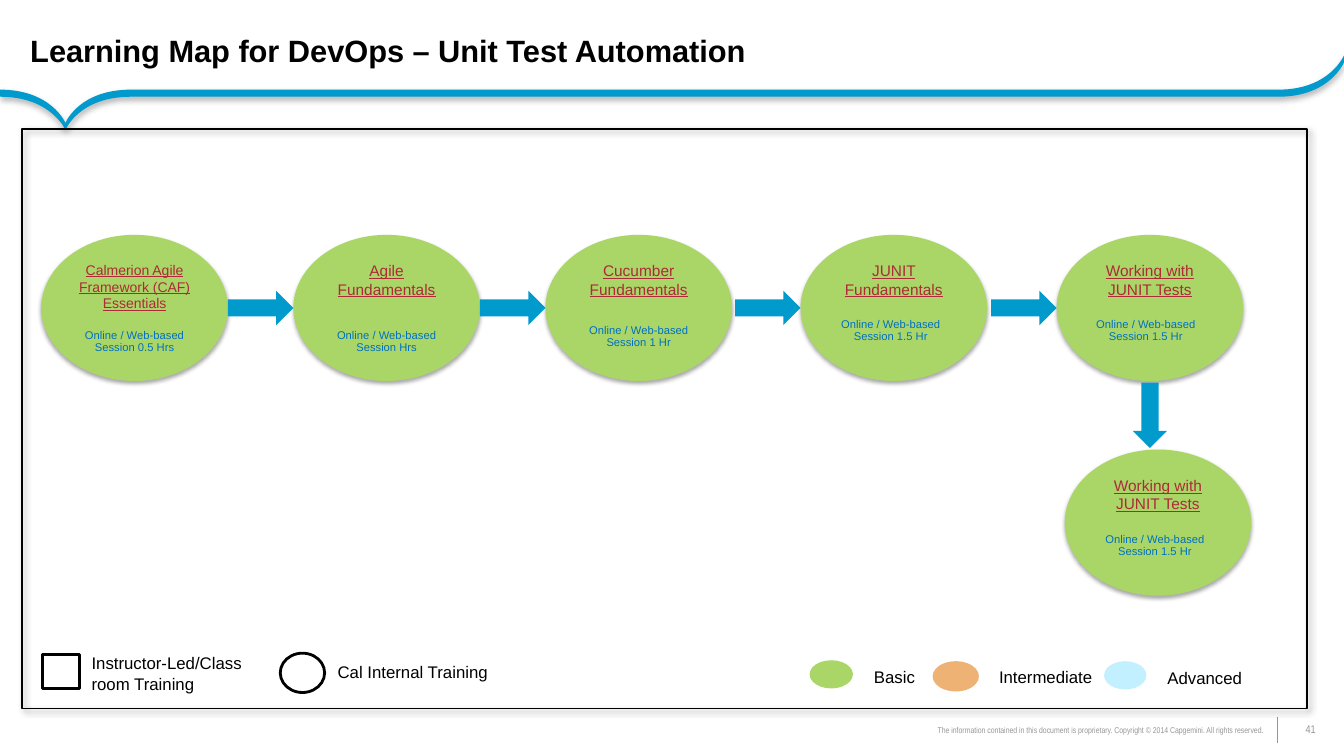
import pptx
import pptx.util
import pptx.oxml
import pptx.dml.color
import pptx.enum.shapes
import pptx.enum.text

Inches, Pt = pptx.util.Inches, pptx.util.Pt
SHAPE = pptx.enum.shapes.MSO_SHAPE
ALIGN = pptx.enum.text.PP_ALIGN
ANCHOR = pptx.enum.text.MSO_ANCHOR

# Content
TITLE = "Learning Map for DevOps – Unit Test Automation"
FOOTER = ("The information contained in this document\u00a0is proprietary. "
          "Copyright © 2014 Capgemini. All rights reserved.")
PAGE = "41"
SESSION = "Online / Web-based Session "

# Course, size, duration, column, row, offset of the session label in the oval
COURSES = [
    ("Calmerion Agile Framework (CAF) Essentials", 10, "0.5 Hrs", 0, 0, (0.27, 0.94)),
    ("Agile Fundamentals", 11, "Hrs", 1, 0, (0.27, 0.94)),
    ("Cucumber Fundamentals", 11, "1 Hr", 2, 0, (0.27, 0.89)),
    ("JUNIT Fundamentals", 11, "1.5 Hr", 3, 0, (0.24, 0.83)),
    ("Working with JUNIT Tests", 11, "1.5 Hr", 4, 0, (0.23, 0.83)),
    ("Working with JUNIT Tests", 11, "1.5 Hr", 5, 1, (0.24, 0.83)),
]
# Legend: shape, its box, fill, outline, text, text box
LEGEND = [
    (SHAPE.RECTANGLE, (0.42, 6.49, 0.37, 0.34), "white", "black",
     "Instructor-Led/Class room Training", (0.81, 6.43, 1.89, 0.5)),
    (SHAPE.OVAL, (2.78, 6.48, 0.44, 0.39), "white", "black",
     "Cal Internal Training", (3.25, 6.52, 1.92, 0.3)),
    (SHAPE.OVAL, (8.03, 6.55, 0.43, 0.28), "green", None, "Basic", (8.57, 6.57, 0.84, 0.3)),
    (SHAPE.OVAL, (9.25, 6.56, 0.46, 0.3), "orange", None, "Intermediate", (9.81, 6.57, 1.22, 0.3)),
    (SHAPE.OVAL, (10.95, 6.56, 0.42, 0.28), "sky", None, "Advanced", (11.48, 6.58, 1.22, 0.3)),
]
COLORS = {"black": "000000", "white": "FFFFFF", "grey": "969696", "blue": "009ACC",
          "green": "AAD668", "orange": "EFB275", "sky": "C2F0FF",
          "red": "AC2B37", "link": "0070C0"}

# Grid
WIDTH, HEIGHT = 13.33, 7.5
COLUMNS = [0.41, 2.91, 5.41, 7.94, 10.48, 10.56]
ROWS = [2.33, 4.46]
OVAL_W, OVAL_H = 1.85, 1.45
ARROW_W, ARROW_H = 0.65, 0.34
LABEL_W, LABEL_H = 1.31, 0.25
BAND = 0.07
# Upper edge of the band: a start, then three points for each curve
EDGE_Y, TIP, CORNER = 0.89, (0.65, 1.22), (WIDTH, 0.55)
UPPER_EDGE = [(0, EDGE_Y),
              (0.51, EDGE_Y), TIP, TIP,
              TIP, (0.78, EDGE_Y), (1.3, EDGE_Y),
              (1.3, EDGE_Y), (12.68, EDGE_Y), (12.68, EDGE_Y),
              (13.19, EDGE_Y), CORNER, CORNER]

presentation = pptx.Presentation()
presentation.slide_width, presentation.slide_height = Inches(WIDTH), Inches(HEIGHT)
slide = presentation.slides.add_slide(presentation.slide_layouts[5])


def color(name):
    return pptx.dml.color.RGBColor.from_string(COLORS[name])


def set_effects(shape, shadow=None):
    """Give a shape a shadow of (opacity, blur, distance, angle), or none."""
    shape_properties = shape._element.spPr
    inner = ""
    if shadow:
        opacity, blur, distance, angle = shadow
        inner = (f'<a:outerShdw blurRad="{Pt(blur)}" dist="{Pt(distance)}" '
                 f'dir="{angle * 60000}" algn="ctr" rotWithShape="0"><a:srgbClr '
                 f'val="{COLORS["black"]}"><a:alpha val="{opacity * 1000}"/>'
                 '</a:srgbClr></a:outerShdw>')
    shape_properties.append(pptx.oxml.parse_xml(
        f'<a:effectLst {pptx.oxml.ns.nsdecls("a")}>{inner}</a:effectLst>'))


def paint(shape, fill=None, line=None, line_width=2, shadow=None):
    if fill:
        shape.fill.solid()
        shape.fill.fore_color.rgb = color(fill)
    else:
        shape.fill.background()
    if line:
        shape.line.color.rgb = color(line)
        shape.line.width = Pt(line_width)
    else:
        shape.line.fill.background()
    set_effects(shape, shadow)


def add_shape(kind, box, **style):
    shape = slide.shapes.add_shape(kind, *map(Inches, box))
    paint(shape, **style)
    return shape


def write(shape, text, size, ink, font="Arial", align=ALIGN.LEFT, anchor=ANCHOR.TOP,
          insets=(0.1, 0.05, 0.1, 0.05), spacing=None):
    frame = shape.text_frame
    frame.word_wrap = True
    frame.auto_size = pptx.enum.text.MSO_AUTO_SIZE.NONE
    frame.vertical_anchor = anchor
    (frame.margin_left, frame.margin_top,
     frame.margin_right, frame.margin_bottom) = map(Inches, insets)
    paragraph = frame.paragraphs[0]
    paragraph.text = text
    paragraph.alignment = align
    if spacing:
        paragraph.line_spacing = spacing
    paragraph.font.name, paragraph.font.size = font, Pt(size)
    paragraph.font.color.rgb = color(ink)
    return paragraph


def add_text(box, *args, **style):
    return write(slide.shapes.add_textbox(*map(Inches, box)), *args, **style)


def add_curved_outline(points):
    """Build a closed outline in which every three points after the first are a curve."""
    start, *rest = [(Inches(x), Inches(y)) for x, y in points]
    builder = slide.shapes.build_freeform(*start)
    builder.add_line_segments(rest, close=True)
    shape = builder.convert_to_shape()
    segments = list(shape._element.iter(pptx.oxml.ns.qn("a:lnTo")))
    for first in range(0, len(segments), 3):
        curve = pptx.oxml.parse_xml(f'<a:cubicBezTo {pptx.oxml.ns.nsdecls("a")}/>')
        segments[first].addprevious(curve)
        for segment in segments[first:first + 3]:
            curve.append(segment[0])
            segment.getparent().remove(segment)
    return shape


# Header band
lower_edge = [(x, y + BAND) for x, y in reversed(UPPER_EDGE)]
band = add_curved_outline(UPPER_EDGE + lower_edge[:1] * 2 + lower_edge)
paint(band, fill="blue", shadow=(31, 4, 2, 90))

# Title
title = slide.shapes.title
title.left, title.top, title.width, title.height = map(Inches, (0, 0.03, 12.87, 0.9))
write(title, TITLE, 22, "black", anchor=ANCHOR.MIDDLE,
      insets=(0.3, 0.04, 0, 0)).font.bold = True

# Footer
add_text((12.67, 7.11, 0.66, 0.27), PAGE, 8, "grey", font="Arial Narrow",
         align=ALIGN.CENTER, anchor=ANCHOR.MIDDLE, spacing=0.85)
add_text((5.99, 7.16, 6.64, 0.19), FOOTER, 6, "grey", font="Arial Narrow",
         align=ALIGN.RIGHT, spacing=0.85)
divider = slide.shapes.add_connector(pptx.enum.shapes.MSO_CONNECTOR.STRAIGHT,
                                     *map(Inches, (12.67, 7.11, 12.67, 7.37)))
divider.line.color.rgb, divider.line.width = color("grey"), Pt(0.75)
set_effects(divider)

# Frame and legend
add_shape(SHAPE.RECTANGLE, (0.22, 1.28, 12.74, 5.75), line="black", line_width=1.25,
          shadow=(40, 4, 3, 45))
for kind, box, fill, line, text, text_box in LEGEND:
    add_shape(kind, box, fill=fill, line=line)
    add_text(text_box, text, 12, "black")

# Courses
for course, size, duration, column, row, (label_x, label_y) in COURSES:
    x, y = COLUMNS[column], ROWS[row]
    oval = add_shape(SHAPE.OVAL, (x, y, OVAL_W, OVAL_H), fill="green",
                     shadow=(35, 3.1, 1.8, 90))
    write(oval, course, size, "red", align=ALIGN.CENTER).font.underline = True
    label = add_shape(SHAPE.RECTANGLE, (x + label_x, y + label_y, LABEL_W, LABEL_H),
                      fill="green")
    write(label, SESSION + duration, 8, "link", align=ALIGN.CENTER,
          anchor=ANCHOR.MIDDLE, insets=(0.04,) * 4, spacing=0.9)

# Arrows: each ends at the next oval, the last points down
arrow_y = ROWS[0] + OVAL_H / 2 - ARROW_H / 2
for x in COLUMNS[1:5]:
    add_shape(SHAPE.RIGHT_ARROW, (x - ARROW_W, arrow_y, ARROW_W, ARROW_H), fill="blue")
down_x = COLUMNS[4] + OVAL_W / 2
down_y = (ROWS[0] + OVAL_H + ROWS[1]) / 2
add_shape(SHAPE.RIGHT_ARROW, (down_x - ARROW_W / 2, down_y - ARROW_H / 2, ARROW_W, ARROW_H),
          fill="blue").rotation = 90

presentation.save("out.pptx")
